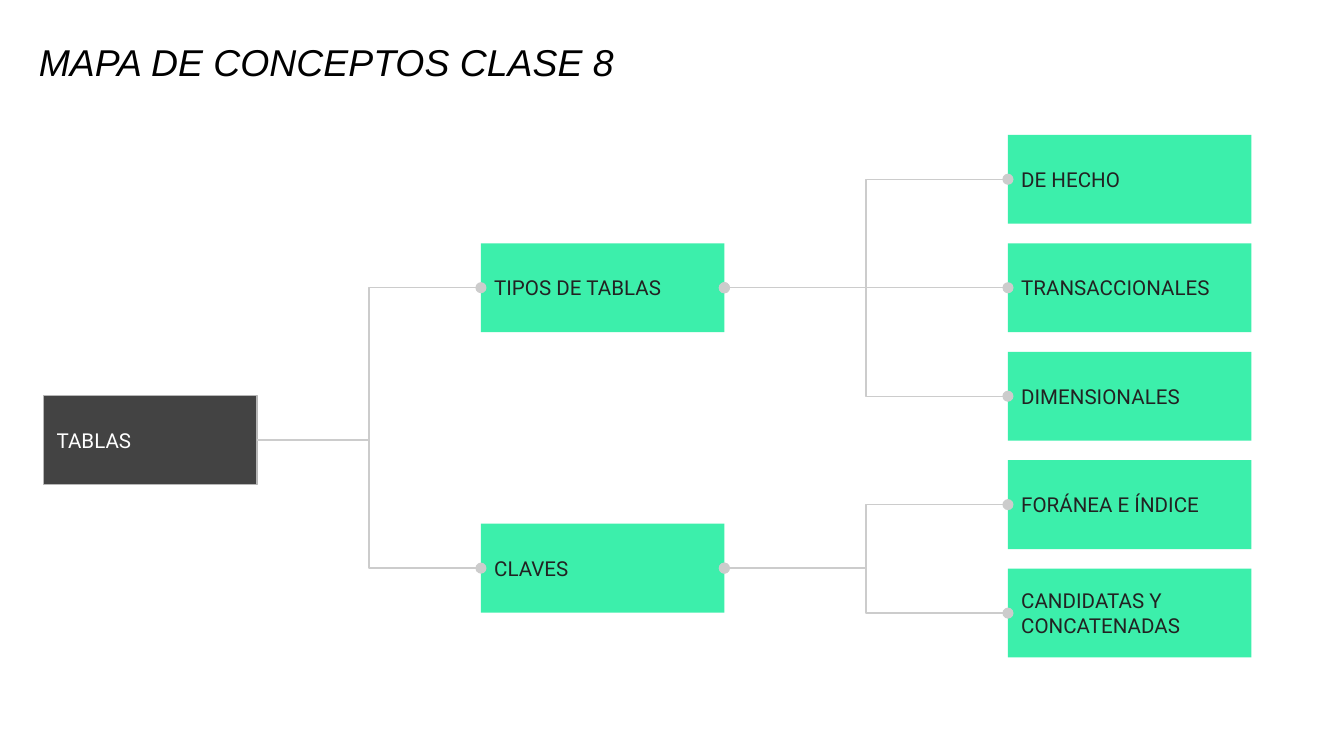
from pptx import Presentation
from pptx.dml.color import RGBColor
from pptx.enum.shapes import MSO_CONNECTOR as Link, MSO_SHAPE as Shape
from pptx.enum.text import MSO_ANCHOR as Anchor, MSO_AUTO_SIZE as Fit, PP_ALIGN as Align
from pptx.oxml.ns import qn
from pptx.util import Cm, Pt
from lxml.etree import SubElement

BLACK = RGBColor(0x00, 0x00, 0x00)
WHITE = RGBColor(0xFF, 0xFF, 0xFF)
INK = RGBColor(0x22, 0x22, 0x22)
DARK = RGBColor(0x43, 0x43, 0x43)
EDGE = RGBColor(0xB7, 0xB7, 0xB7)
GREY = RGBColor(0xCC, 0xCC, 0xCC)
GREEN = RGBColor(0x3C, 0xEF, 0xAB)

WIDE, TALL = 4.6, 1.68
COL_B, COL_C = 9.09, 19.05
TOP, STEP = 2.55, 2.05

# name, top, leaves
TREE = [
    ("TIPOS DE TABLAS", TOP + STEP, ["DE HECHO", "TRANSACCIONALES", "DIMENSIONALES"]),
    ("CLAVES", 9.9, ["FORÁNEA E ÍNDICE", "CANDIDATAS Y CONCATENADAS"]),
]


def style(item, **values):
    for key, value in values.items():
        setattr(item, key, value)


def write(frame, text, color, **values):
    frame.text = text
    para = frame.paragraphs[0]
    para.alignment = Align.LEFT
    font = para.runs[0].font
    style(font, **values)
    font.color.rgb = color
    return para


def add_title(slide, text):
    title = slide.shapes.title
    style(title, left=Cm(0.48), top=Cm(0.56), width=Cm(20.98), height=Cm(1.17))
    style(title.text_frame, vertical_anchor=Anchor.BOTTOM, auto_size=Fit.NONE, word_wrap=True)
    para = write(title.text_frame, text, BLACK, name="Arial", size=Pt(20), italic=True)
    para.line_spacing = 0.9


def add_box(slide, text, left, top, wide=WIDE, fill=GREEN, ink=INK, edge=None):
    box = slide.shapes.add_shape(Shape.RECTANGLE, Cm(left), Cm(top), Cm(wide), Cm(TALL))
    box.shadow.inherit = False
    box.fill.solid()
    box.fill.fore_color.rgb = fill
    if edge is None:
        box.line.fill.background()
    else:
        box.line.color.rgb = edge
        box.line.width = Pt(0.75)
    frame = box.text_frame
    sides = ("left", "right", "top", "bottom")
    style(frame, **{f"margin_{side}": Cm(0.25) for side in sides})
    style(frame, word_wrap=True, vertical_anchor=Anchor.MIDDLE)
    write(frame, text, ink, name="Roboto", size=Pt(11))
    return box


def join(slide, start, end, dots):
    """Link the right side of start to the left side of end, with dots at the named ends."""
    kind = Link.STRAIGHT if start.top == end.top else Link.ELBOW
    line = slide.shapes.add_connector(kind, 0, 0, 0, 0)
    line.begin_connect(start, 3)
    line.end_connect(end, 1)
    line.line.color.rgb = GREY
    line.line.width = Pt(0.75)
    props = line._element.spPr
    for dot in dots:
        SubElement(props.find(qn("a:ln")), qn(f"a:{dot}"), type="oval")
    SubElement(props, qn("a:effectLst"))


def main():
    deck = Presentation()
    style(deck, slide_width=Cm(25.4), slide_height=Cm(14.29))
    slide = deck.slides.add_slide(deck.slide_layouts[5])
    add_title(slide, "MAPA DE CONCEPTOS CLASE 8")

    root = add_box(slide, "TABLAS", 0.82, 7.48, 4.04, DARK, WHITE, EDGE)
    row = 0
    for name, top, leaves in TREE:
        branch = add_box(slide, name, COL_B, top)
        join(slide, root, branch, ["tailEnd"])
        for text in leaves:
            leaf = add_box(slide, text, COL_C, TOP + row * STEP)
            join(slide, branch, leaf, ["headEnd", "tailEnd"])
            row += 1

    deck.save("out.pptx")


if __name__ == "__main__":
    main()
